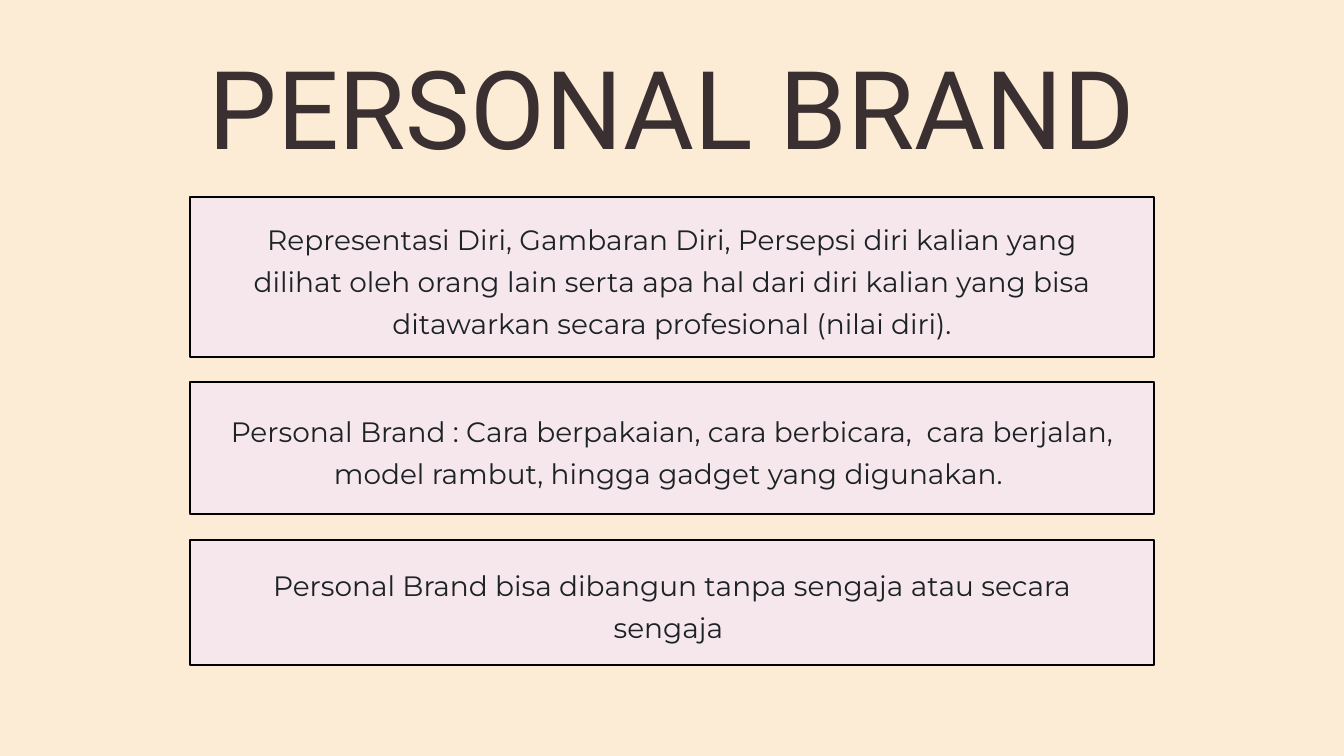
import dataclasses

import pptx
import pptx.dml.color
import pptx.enum.shapes
import pptx.enum.text
import pptx.util

Pt = pptx.util.Pt
RGB = pptx.dml.color.RGBColor.from_string


@dataclasses.dataclass(frozen=True)
class Theme:
    background: str = "FCECD5"
    card: str = "F6E7EC"
    border: str = "000000"
    title: str = "3A3031"
    body: str = "1D2226"
    title_font: str = "Roboto"
    body_font: str = "Montserrat"
    title_size: float = 116.5
    title_leading: float = 100.2
    body_size: float = 30
    body_leading: float = 45
    border_width: float = 2.25


THEME = Theme()
SLIDE_WIDTH, SLIDE_HEIGHT = 1440, 810
CARD_WIDTH = 1032
BODY_WIDTH = 954.7

# card top, card height, text top, text height, wording
CARDS = [
    (211, 171.5, 229, 129.6,
     "Representasi Diri, Gambaran Diri, Persepsi diri kalian yang dilihat oleh "
     "orang lain serta apa hal dari diri kalian yang bisa ditawarkan secara "
     "profesional (nilai diri)."),
    (409.7, 141, 434.9, 85.7,
     "Personal Brand : Cara berpakaian, cara berbicara,  cara berjalan, "
     "model rambut, hingga gadget yang digunakan. "),
    (578.6, 133.7, 599.8, 85.7,
     "Personal Brand bisa dibangun tanpa sengaja atau secara sengaja "),
]


def centred_frame(top, width, height):
    """Return left, top, width, height of a frame centred across the slide."""
    return Pt((SLIDE_WIDTH - width) / 2), Pt(top), Pt(width), Pt(height)


def add_centred_text(slide, wording, top, width, height, font, size, leading, color):
    frame = slide.shapes.add_textbox(*centred_frame(top, width, height)).text_frame
    frame.word_wrap = True
    frame.margin_left = frame.margin_right = frame.margin_top = frame.margin_bottom = 0
    paragraph = frame.paragraphs[0]
    paragraph.text = wording
    paragraph.alignment = pptx.enum.text.PP_ALIGN.CENTER
    paragraph.line_spacing = Pt(leading)
    paragraph.font.name = font
    paragraph.font.size = Pt(size)
    paragraph.font.color.rgb = RGB(color)


def add_card(slide, top, height, text_top, text_height, wording):
    card = slide.shapes.add_shape(
        pptx.enum.shapes.MSO_SHAPE.RECTANGLE, *centred_frame(top, CARD_WIDTH, height))
    card.shadow.inherit = False
    card.fill.solid()
    card.fill.fore_color.rgb = RGB(THEME.card)
    card.line.color.rgb = RGB(THEME.border)
    card.line.width = Pt(THEME.border_width)
    add_centred_text(slide, wording, text_top, BODY_WIDTH, text_height,
                     THEME.body_font, THEME.body_size, THEME.body_leading, THEME.body)


def main():
    deck = pptx.Presentation()
    deck.slide_width, deck.slide_height = Pt(SLIDE_WIDTH), Pt(SLIDE_HEIGHT)
    slide = deck.slides.add_slide(deck.slide_layouts[6])
    slide.background.fill.solid()
    slide.background.fill.fore_color.rgb = RGB(THEME.background)

    add_centred_text(slide, "PERSONAL BRAND", 83.5, 1316, 110.2,
                     THEME.title_font, THEME.title_size, THEME.title_leading, THEME.title)
    for card in CARDS:
        add_card(slide, *card)
    deck.save("out.pptx")


if __name__ == "__main__":
    main()
